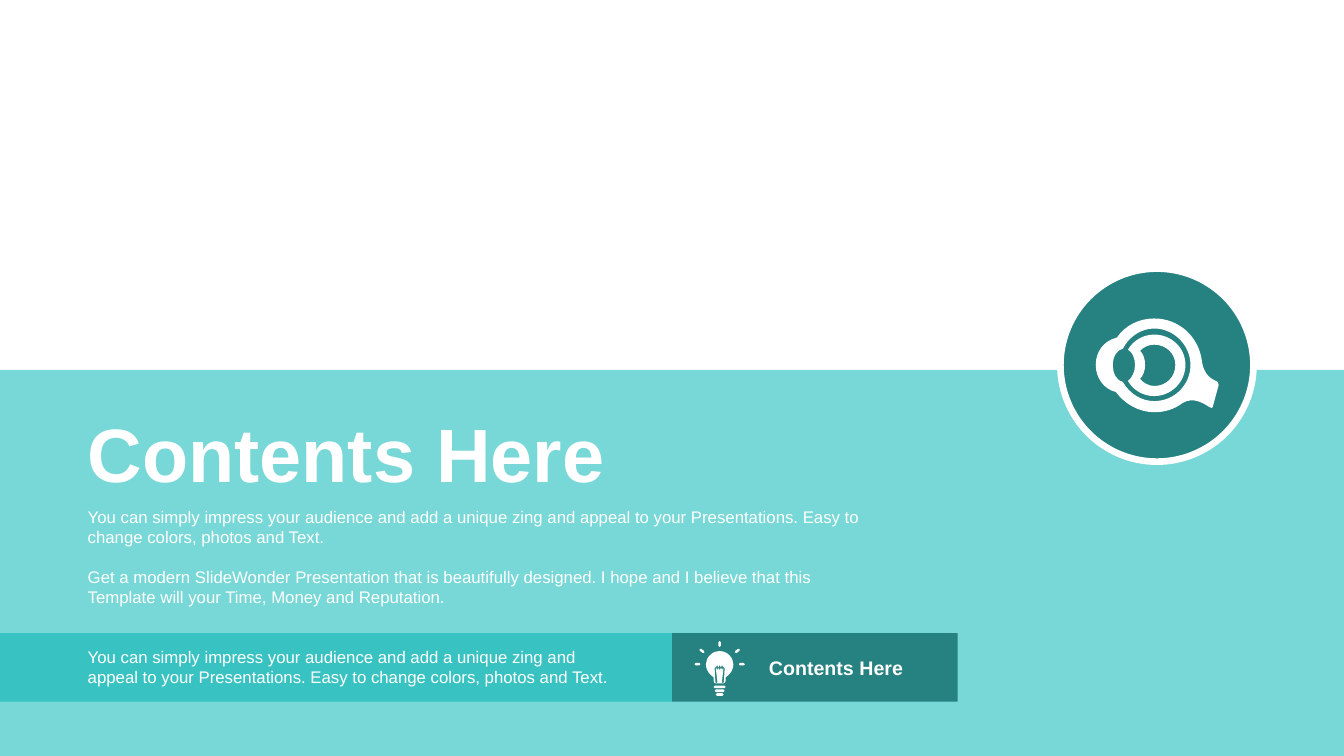
from math import cos, radians, sin

from lxml import etree
from pptx import Presentation
from pptx.dml.color import RGBColor
from pptx.enum.shapes import MSO_SHAPE
from pptx.enum.text import MSO_AUTO_SIZE
from pptx.oxml.ns import qn
from pptx.util import Inches, Pt

RECT = MSO_SHAPE.RECTANGLE
OVAL = MSO_SHAPE.OVAL
GROW = MSO_AUTO_SIZE.SHAPE_TO_FIT_TEXT

CELL = Inches(0.1)
FINE = 100
COLUMNS, ROWS = 133.33, 75
MARGIN = 7.72
STRIP_TOP, STRIP_ROWS = 62.8, 6.8
WHITE, DARK, MIDDLE, LIGHT = "FFFFFF", "268181", "39C2C2", "78D7D7"

BODY = {"name": "Arial", "size": Pt(12), "bold": False}
LABEL = {"name": "Arial", "size": Pt(14), "bold": True}
TITLE = {"name": "Arial", "size": Pt(54), "bold": True}
PARAGRAPH_GAP = Pt(14)

IMPRESS = ("You can simply impress your audience and add a unique zing and appeal "
           "to your Presentations. Easy to change colors, photos and Text.")
DESIGNED = ("Get a modern SlideWonder Presentation that is beautifully designed. "
            "I hope and I believe that this Template will your Time, Money and Reputation.")

PUPIL = [(114.5, 34.2), (114, 34.2, 113.5, 34.4, 113.1, 34.8),
         (113.4, 35.1, 113.6, 35.6, 113.6, 36.2), (113.6, 36.8, 113.4, 37.3, 113.1, 37.6),
         (113.4, 38, 114, 38.3, 114.5, 38.3), (115.7, 38.3, 116.6, 37.4, 116.6, 36.2),
         (116.6, 35.1, 115.7, 34.2, 114.5, 34.2)]
IRIS = [(114.5, 33.2), (116.2, 33.2, 117.6, 34.5, 117.6, 36.2),
        (117.6, 37.9, 116.2, 39.3, 114.5, 39.3), (113.4, 39.3, 112.4, 38.7, 111.9, 37.8),
        (112.3, 37.5, 112.6, 36.9, 112.6, 36.2), (112.6, 35.5, 112.3, 34.9, 111.9, 34.7),
        (112.4, 33.8, 113.4, 33.2, 114.5, 33.2)]
LENS = [(114.5, 32.6), (113.2, 32.6, 112, 33.4, 111.4, 34.6),
        (110.8, 34.7, 110.4, 35.4, 110.4, 36.2), (110.4, 37.1, 110.8, 37.8, 111.4, 37.9),
        (112, 39, 113.2, 39.8, 114.5, 39.8), (116.5, 39.8, 118.1, 38.2, 118.1, 36.2),
        (118.1, 34.3, 116.5, 32.6, 114.5, 32.6)]
EYEBALL = [(114.5, 31.6), (116.9, 31.6, 118.8, 33.3, 119.2, 35.6),
           (119.4, 37.4, 120.3, 37.6, 120.8, 37.9), (120.9, 38, 120.9, 38.1, 120.9, 38.2),
           (120.3, 40.4), (120.3, 40.5, 120.1, 40.5, 120, 40.4),
           (119.5, 40.1, 118.4, 39.3, 117.3, 40), (116.5, 40.6, 115.6, 40.9, 114.5, 40.9),
           (113, 40.9, 111.6, 40.1, 110.7, 38.9), (109.5, 38.6, 108.7, 37.5, 108.7, 36.2),
           (108.7, 34.9, 109.5, 33.8, 110.8, 33.5), (111.6, 32.3, 113, 31.6, 114.5, 31.6)]

BULB_X, BULB_Y = 71.4, 65.9
GLASS = [(71.4, 64.6), (71.7, 64.6, 72.1, 64.7, 72.35, 65),
         (72.9, 65.5, 72.9, 66.3, 72.35, 66.9), (72, 67.2), (72, 67.5),
         (72, 67.7, 71.9, 67.8, 71.8, 67.8), (71, 67.8),
         (70.9, 67.8, 70.8, 67.7, 70.8, 67.5), (70.8, 67.2), (70.45, 66.9),
         (69.9, 66.3, 69.9, 65.5, 70.45, 65), (70.7, 64.7, 71.1, 64.6, 71.4, 64.6)]
HALF_WIRE = [(0, 0.1), (0.08, 0.2), (0.08, 0.3), (0.17, 0.3), (0.17, 0.2), (0.25, 0.1),
             (0.32, 0.2), (0.32, 0.3), (0.42, 0.3), (0.5, 0.4), (0.42, 1.8), (0.32, 1.88),
             (0.22, 1.8), (0.38, 0.4), (0.3, 0.4), (0.25, 0.6), (0.17, 0.4), (0.08, 0.4),
             (0, 0.6)]
RAYS = [(0, 2.2), (-37, 2.2), (-90, 2), (-143, 2.2), (180, 2.2)]


def grid(*cells):
    return [round(cell * CELL) for cell in cells]


def color(hex_text):
    return RGBColor.from_string(hex_text)


def paint(shape, fill):
    shape.shadow.inherit = False
    shape.fill.solid()
    shape.fill.fore_color.rgb = color(fill)
    shape.line.fill.background()
    return shape


def add_block(slide, kind, box, fill):
    return paint(slide.shapes.add_shape(kind, *grid(*box)), fill)


def add_icon(slide, contours, fill):
    def points(step):
        return [(x * FINE, y * FINE) for x, y in zip(step[::2], step[1::2])]

    builder = slide.shapes.build_freeform(*points(contours[0][0])[0], scale=CELL / FINE)
    for index, (start, *steps) in enumerate(contours):
        if index:
            builder.move_to(*points(start)[0])
        builder.add_line_segments([p for step in steps for p in points(step)], close=True)
    icon = paint(builder.convert_to_shape(), fill)
    segments = icon._element.iter(qn("a:lnTo"))
    bend(list(segments), [len(step) // 2 for _, *steps in contours for step in steps])


def bend(segments, counts):
    remaining = iter(segments)
    for count in counts:
        group = [next(remaining) for _ in range(count)]
        if count == 3:
            curve = etree.Element(qn("a:cubicBezTo"))
            group[0].addprevious(curve)
            for segment in group:
                curve.append(segment[0])
                segment.getparent().remove(segment)


def pill(center_x, center_y, length, thickness, angle=0):
    turn = radians(angle)
    half, side, cap = (length - thickness) / 2, thickness / 2, thickness * 2 / 3

    def place(*offsets):
        return tuple(value for u, v in zip(offsets[::2], offsets[1::2]) for value in
                     (center_x + u * cos(turn) - v * sin(turn),
                      center_y + u * sin(turn) + v * cos(turn)))

    return [place(-half, -side), place(half, -side),
            place(half + cap, -side, half + cap, side, half, side), place(-half, side),
            place(-half - cap, side, -half - cap, -side, -half, -side)]


def add_bulb(slide):
    mirrored = [(-x, y) for x, y in HALF_WIRE[-2:0:-1]]
    wire = [(BULB_X + x, BULB_Y + y) for x, y in HALF_WIRE + mirrored]
    rings = [pill(BULB_X, BULB_Y + 2.25 + 0.38 * ring, width, 0.26)
             for ring, width in enumerate((1.2, 1, 0.8))]
    rays = [pill(BULB_X + reach * cos(radians(angle)), BULB_Y + reach * sin(radians(angle)),
                 0.6, 0.24, angle) for angle, reach in RAYS]
    add_icon(slide, [GLASS, wire, *rings, *rays], WHITE)


def add_text(slide, box, paragraphs, style):
    frame = slide.shapes.add_textbox(*grid(*box)).text_frame
    frame.word_wrap = True
    frame.auto_size = GROW
    for index, words in enumerate(paragraphs):
        paragraph = frame.paragraphs[0] if index == 0 else frame.add_paragraph()
        if index:
            paragraph.space_before = PARAGRAPH_GAP
        run = paragraph.add_run()
        run.text = words
        for attribute, value in style.items():
            setattr(run.font, attribute, value)
        run.font.color.rgb = color(WHITE)


def main():
    deck = Presentation()
    deck.slide_width, deck.slide_height = grid(COLUMNS, ROWS)
    slide = deck.slides.add_slide(deck.slide_layouts[6])

    add_block(slide, RECT, (0, 36.7, COLUMNS, ROWS - 36.7), LIGHT)
    badge = add_block(slide, OVAL, (105.2, 26.65, 19.15, 19.15), DARK)
    badge.line.color.rgb = color(WHITE)
    badge.line.width = Pt(4.75)

    add_text(slide, (MARGIN, 49.8, 80, 11.1), [IMPRESS, DESIGNED], BODY)
    add_text(slide, (MARGIN, 39.9, 65, 10.1), ["Contents Here"], TITLE)

    middle = COLUMNS / 2
    add_block(slide, RECT, (middle, STRIP_TOP, 28.35, STRIP_ROWS), DARK)
    add_block(slide, RECT, (0, STRIP_TOP, middle, STRIP_ROWS), MIDDLE)
    add_text(slide, (MARGIN, 63.7, 55.9, 5), [IMPRESS], BODY)
    add_text(slide, (75.3, 64.6, 19.7, 3.4), ["Contents Here"], LABEL)

    add_bulb(slide)
    add_icon(slide, [PUPIL, IRIS, LENS, EYEBALL], WHITE)
    deck.save("out.pptx")


if __name__ == "__main__":
    main()
